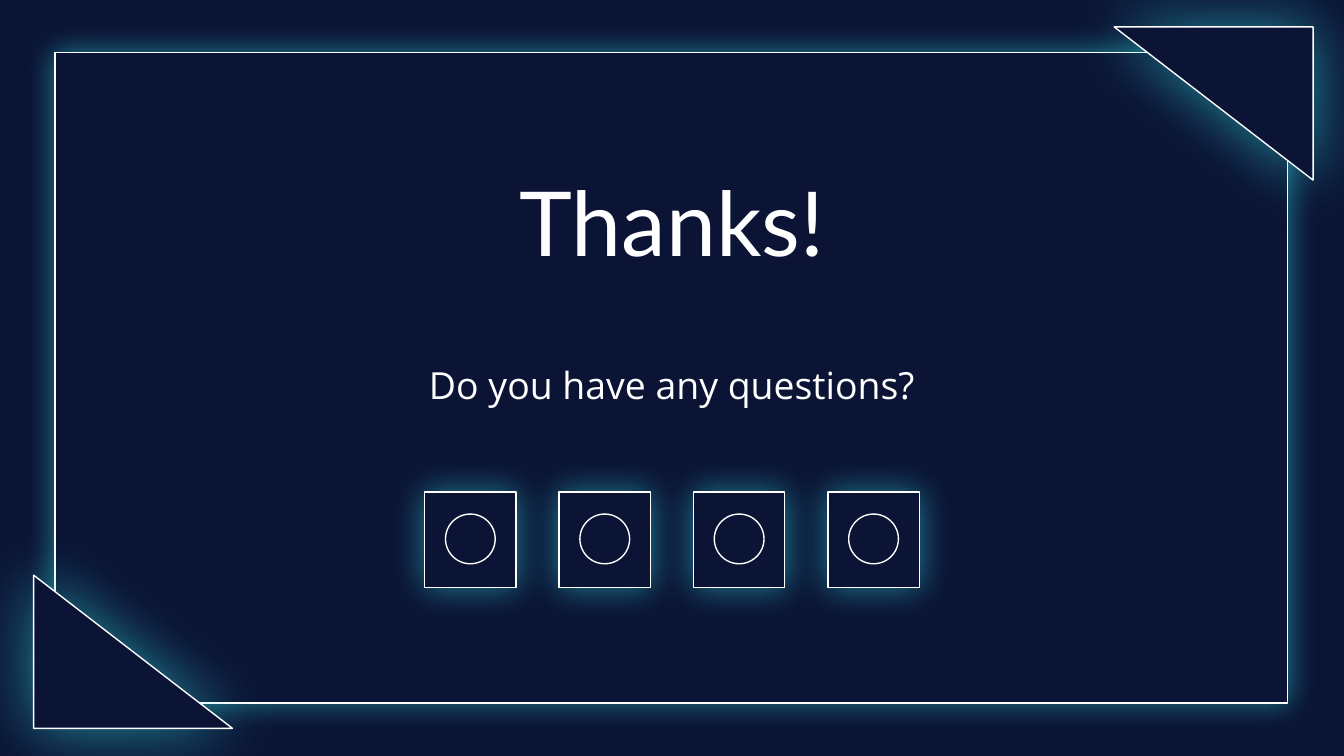
import pptx
import pptx.util
import pptx.dml.color
import pptx.enum.shapes
import pptx.enum.text
import pptx.oxml
import pptx.oxml.ns

Inches = pptx.util.Inches
Pt = pptx.util.Pt
SHAPE = pptx.enum.shapes.MSO_SHAPE
ANCHOR = pptx.enum.text.MSO_ANCHOR

NAVY = pptx.dml.color.RGBColor(0x0B, 0x14, 0x35)
WHITE = pptx.dml.color.RGBColor(0xFF, 0xFF, 0xFF)
GLOW = pptx.dml.color.RGBColor(0x38, 0xF1, 0xF3)


def write_text(holder, text, font, size, anchor):
    frame = holder.text_frame
    frame.word_wrap = True
    frame.auto_size = pptx.enum.text.MSO_AUTO_SIZE.NONE
    frame.vertical_anchor = anchor
    frame.margin_left = frame.margin_right = Inches(0.1)
    frame.margin_top = frame.margin_bottom = Inches(0.1)
    paragraph = frame.paragraphs[0]
    paragraph.text = text
    paragraph.alignment = pptx.enum.text.PP_ALIGN.CENTER
    paragraph.font.name = font
    paragraph.font.size = Pt(size)
    paragraph.font.color.rgb = WHITE


def add_outlined(preset, left, top, width, height, blur=0, alpha=50):
    """Add a navy shape with a thin white line and, if blur is given, a glow."""
    shape = slide.shapes.add_shape(
        preset, Inches(left), Inches(top), Inches(width), Inches(height))
    shape.fill.solid()
    shape.fill.fore_color.rgb = NAVY
    shape.line.color.rgb = WHITE
    shape.line.width = Pt(0.75)
    shape.shadow.inherit = False
    if blur:
        effects = shape._element.spPr.find(pptx.oxml.ns.qn("a:effectLst"))
        effects.append(pptx.oxml.parse_xml(
            f'<a:outerShdw {pptx.oxml.ns.nsdecls("a")} blurRad="{Pt(blur)}" '
            f'dist="0" dir="0" algn="ctr" rotWithShape="0">'
            f'<a:srgbClr val="{GLOW}"><a:alpha val="{alpha * 1000}"/></a:srgbClr>'
            f'</a:outerShdw>'))
    return shape


presentation = pptx.Presentation()
presentation.slide_width = Inches(10)
presentation.slide_height = Inches(5.625)
slide = presentation.slides.add_slide(presentation.slide_layouts[5])
slide.background.fill.solid()
slide.background.fill.fore_color.rgb = NAVY

# Glowing frame with a triangle in two opposite corners
add_outlined(SHAPE.RECTANGLE, 0.41, 0.39, 9.17, 4.84, blur=15.8)
for left, top, rotation in [(8.29, 0.2, 180), (0.25, 4.28, 0)]:
    corner = add_outlined(SHAPE.RIGHT_TRIANGLE, left, top, 1.48, 1.14,
                          blur=34.9, alpha=53)
    corner.rotation = rotation

# Title, brought in front of the frame
thanks = slide.shapes.title
thanks.left, thanks.top = Inches(2.45), Inches(1.14)
thanks.width, thanks.height = Inches(5.1), Inches(0.92)
write_text(thanks, "Thanks!", font="Lato", size=48, anchor=ANCHOR.TOP)
slide.shapes._spTree.append(thanks._element)

# Closing question
question = slide.shapes.add_textbox(
    Inches(2.65), Inches(2.28), Inches(4.7), Inches(1.17))
write_text(question, "Do you have any questions?", font="Open Sans", size=20,
           anchor=ANCHOR.MIDDLE)

# Row of four tiles, each with a plain ring
for index in range(4):
    tile_left = 3.16 + index
    add_outlined(SHAPE.RECTANGLE, tile_left, 3.66, 0.68, 0.71, blur=19.1)
    add_outlined(SHAPE.OVAL, tile_left + 0.155, 3.825, 0.37, 0.37)

presentation.save("out.pptx")
